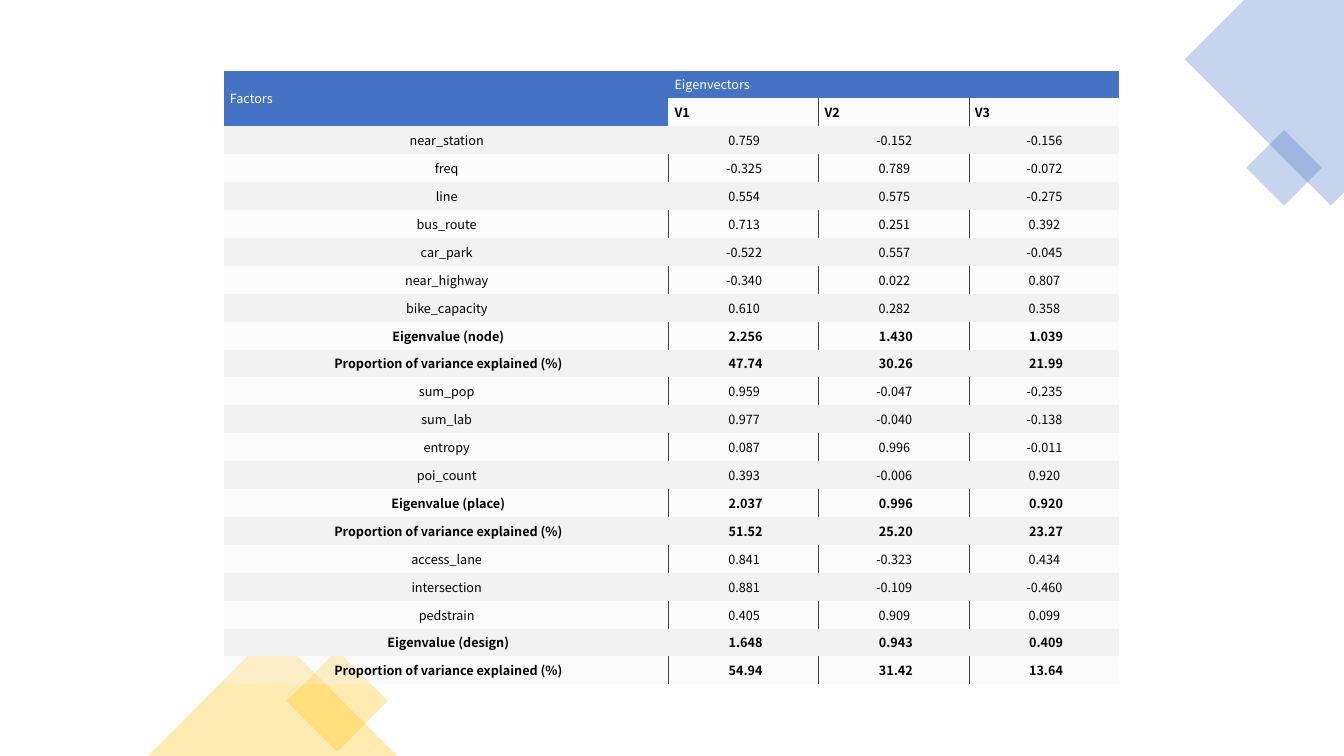
"""Slide with a table of eigenvectors by factor and corner ornaments."""
from lxml.etree import SubElement
from pptx import Presentation
from pptx.dml.color import RGBColor
from pptx.enum.shapes import MSO_SHAPE as SHAPE
from pptx.enum.text import MSO_ANCHOR as ANCHOR, PP_ALIGN as ALIGN
from pptx.oxml import parse_xml
from pptx.oxml.ns import nsdecls, qn
from pptx.util import Inches, Pt

FONT = "Noto Sans CJK SC"
C = {"blue": "4472C4", "gold": "FFC000", "band": "F2F2F2",
     "rule": "404040", "white": "FFFFFF", "black": "000000"}
NO_STYLE = "{2D5ABB26-0587-4C30-8999-92F81FD0307C}"
VARIANCE = "Proportion of variance explained (%)"
ROWS = [
    ("Factors", "Eigenvectors", "", ""),
    ("", "V1", "V2", "V3"),
    ("near_station", "0.759", "-0.152", "-0.156"),
    ("freq", "-0.325", "0.789", "-0.072"),
    ("line", "0.554", "0.575", "-0.275"),
    ("bus_route", "0.713", "0.251", "0.392"),
    ("car_park", "-0.522", "0.557", "-0.045"),
    ("near_highway", "-0.340", "0.022", "0.807"),
    ("bike_capacity", "0.610", "0.282", "0.358"),
    ("Eigenvalue (node)", "2.256", "1.430", "1.039"),
    (VARIANCE, "47.74", "30.26", "21.99"),
    ("sum_pop", "0.959", "-0.047", "-0.235"),
    ("sum_lab", "0.977", "-0.040", "-0.138"),
    ("entropy", "0.087", "0.996", "-0.011"),
    ("poi_count", "0.393", "-0.006", "0.920"),
    ("Eigenvalue (place)", "2.037", "0.996", "0.920"),
    (VARIANCE, "51.52", "25.20", "23.27"),
    ("access_lane", "0.841", "-0.323", "0.434"),
    ("intersection", "0.881", "-0.109", "-0.460"),
    ("pedstrain", "0.405", "0.909", "0.099"),
    ("Eigenvalue (design)", "1.648", "0.943", "0.409"),
    (VARIANCE, "54.94", "31.42", "13.64"),
]
COLS = [4.41, 1.49, 1.49, 1.49]
TABLE = (2.22, 0.7, 8.89, 6.09)
CORNER = [(13.33, 0), (12.34, 0), (11.75, 0.59), (13.2, 2.04), (13.33, 1.91)]
ORNAMENTS = [
    (SHAPE.RECTANGLE, (12.47, 1.4, 0.53, 0.53), 45, "blue"),
    (SHAPE.RECTANGLE, (2.99, 6.6, 0.71, 0.71), 45, "gold"),
    (SHAPE.ISOSCELES_TRIANGLE, (1.47, 6.26, 2.47, 1.24), 0, "gold"),
]


def paint(fill, owner, color, alpha=None):
    fill.solid()
    fill.fore_color.rgb = RGBColor.from_string(C[color])
    if alpha:
        clr = owner.find(qn("a:solidFill"))[0]
        SubElement(clr, qn("a:alpha"), val=str(alpha * 1000))


def finish(shape, color):
    paint(shape.fill, shape.element.spPr, color, 30)
    shape.line.fill.background()
    shape.shadow.inherit = False


def add_rule(tc_pr, side):
    tc_pr.insert(0, parse_xml(
        f'<a:{side} {nsdecls("a")} w="6350"><a:solidFill>'
        f'<a:srgbClr val="{C["rule"]}"/></a:solidFill></a:{side}>'))


def style_cell(cell, text, row, col):
    header = row == 0 or (row == 1 and col == 0)
    pale = row % 2 == 1 and not header
    bold = row == 1 or text == VARIANCE or ROWS[row][0].startswith(("Eigenvalue", VARIANCE))
    tc_pr = cell._tc.get_or_add_tcPr()
    paint(cell.fill, tc_pr, "blue" if header else "band", 30 if pale else None)
    if pale and col < len(COLS) - 1:
        add_rule(tc_pr, "lnR")
    if pale and col > 0 and not (row == 1 and col == 1):
        add_rule(tc_pr, "lnL")
    cell.vertical_anchor = ANCHOR.MIDDLE
    cell.margin_left = Inches(0.06)
    cell.margin_right = Inches(0.02 if row < 2 or bold else 0.05)
    cell.margin_top = cell.margin_bottom = Inches(0.04)
    p = cell.text_frame.paragraphs[0]
    p.alignment = ALIGN.LEFT if row < 2 else ALIGN.CENTER
    p.font.size = Pt(9)
    if text:
        r = p.add_run()
        r.text = text
        r.font.name, r.font.size, r.font.bold = FONT, Pt(9), bold
        r.font.color.rgb = RGBColor.from_string(C["white" if header else "black"])


def add_factor_table(s):
    frame = s.shapes.add_table(len(ROWS), len(COLS), *map(Inches, TABLE))
    table = frame.table
    table.first_row = table.horz_banding = False
    table._tbl.tblPr.find(qn("a:tableStyleId")).text = NO_STYLE
    for column, width in zip(table.columns, COLS):
        column.width = Inches(width)
    for row in table.rows:
        row.height = Inches(TABLE[3] / len(ROWS))
    for i, texts in enumerate(ROWS):
        for j, text in enumerate(texts):
            style_cell(table.cell(i, j), text, i, j)
    table.cell(0, 0).merge(table.cell(1, 0))
    table.cell(0, 1).merge(table.cell(0, 3))


def main():
    prs = Presentation()
    prs.slide_width, prs.slide_height = Inches(13.33), Inches(7.5)
    s = prs.slides.add_slide(prs.slide_layouts[6])
    points = [(Inches(x), Inches(y)) for x, y in CORNER]
    outline = s.shapes.build_freeform(*points[0])
    outline.add_line_segments(points[1:], close=True)
    finish(outline.convert_to_shape(), "blue")
    for kind, box, angle, color in ORNAMENTS:
        sp = s.shapes.add_shape(kind, *map(Inches, box))
        sp.rotation = angle
        finish(sp, color)
    add_factor_table(s)
    prs.save("out.pptx")


if __name__ == "__main__":
    main()
